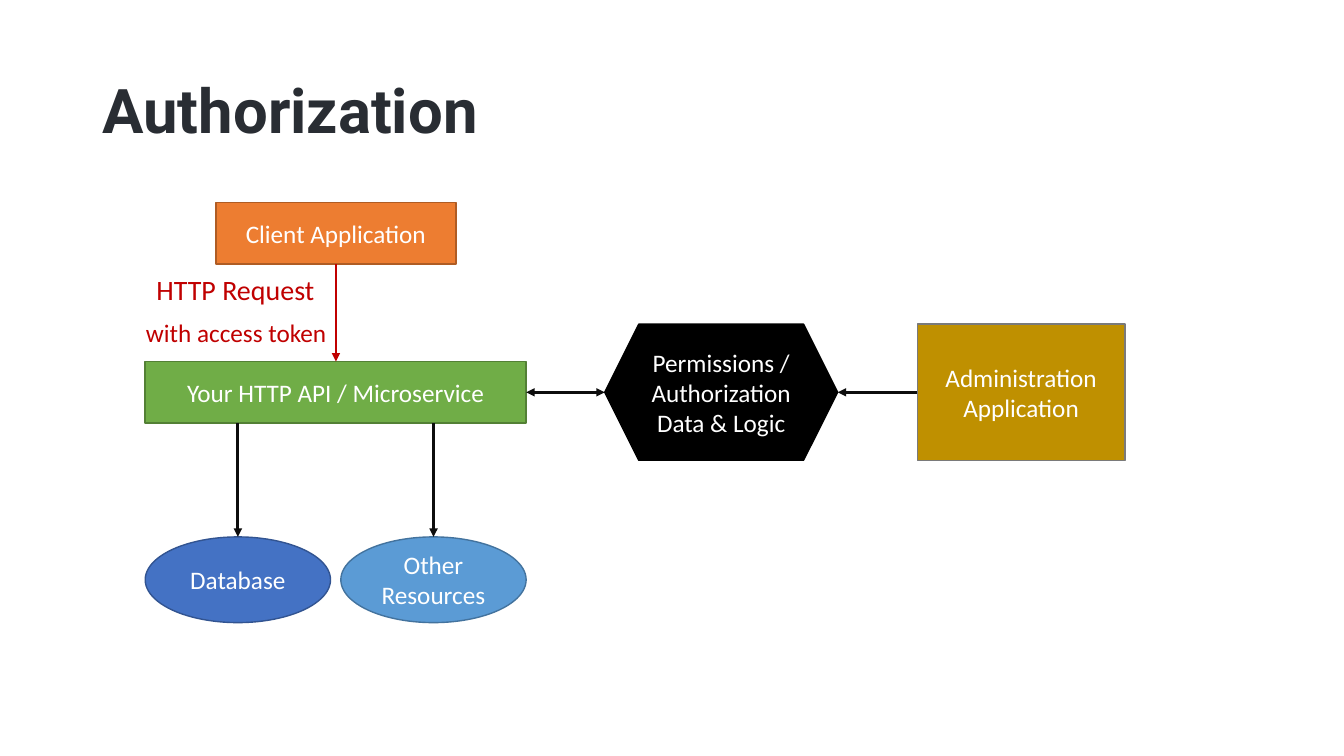
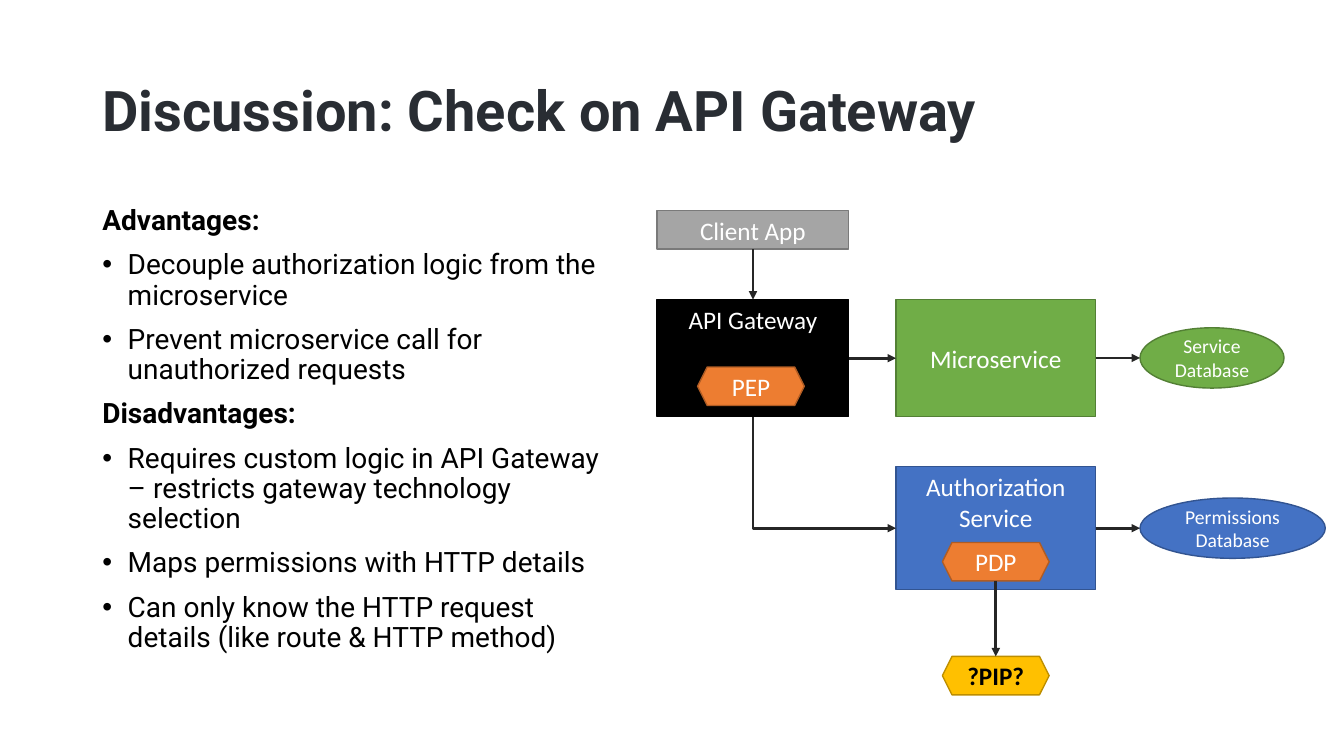
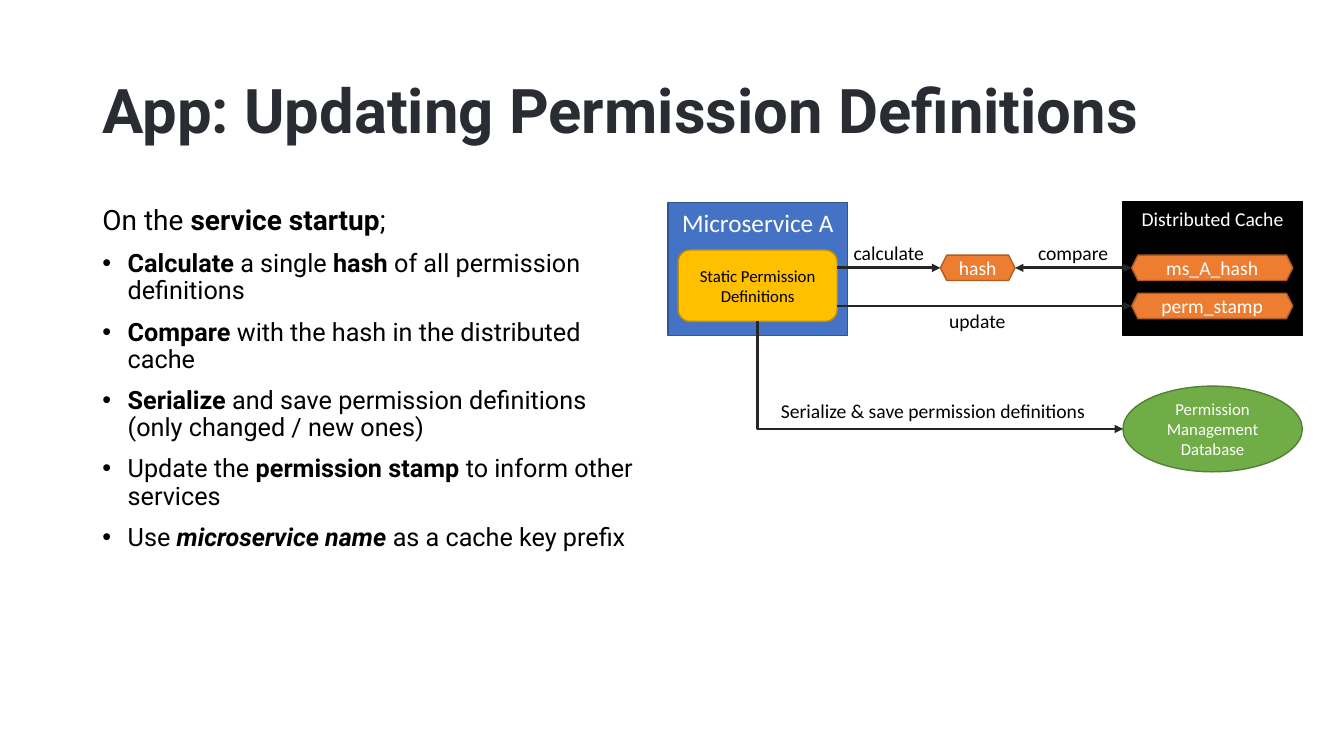
from dataclasses import dataclass

from lxml.etree import SubElement
from pptx import Presentation
from pptx.dml.color import RGBColor
from pptx.enum.shapes import MSO_CONNECTOR as Connector, MSO_SHAPE as Preset
from pptx.enum.text import MSO_ANCHOR as Anchor, PP_ALIGN as Align
from pptx.oxml.ns import qn
from pptx.util import Cm, Pt

HEADING_FONT, DIAGRAM_FONT = "Roboto", "Calibri"
BLACK, WHITE, RED, INK = "000000", "FFFFFF", "C00000", "292D33"
DARK, NEAR_BLACK = "262626", "0D0D0D"
ORANGE = ("ED7D31", "AF5C24")
GREEN = ("70AD47", "538035")
BLUE = ("4472C4", "325491")
SKY = ("5B9BD5", "43739E")
GOLD = ("BF9000", "7A7A7A")
GRAY = ("A5A5A5", "7A7A7A")
YELLOW = ("FFC000", "BD8E00")
SOLID_BLACK = (BLACK, BLACK)


@dataclass
class Box:
    left: float
    top: float
    width: float
    height: float

    def inside(self, left, top, width, height):
        return Box(self.left + left, self.top + top, width, height)

    def lengths(self):
        return [Cm(value) for value in (self.left, self.top, self.width, self.height)]


TITLE_BOX = Box(2.33, 1.01, 29.21, 3.68)


def color(hex_value):
    return RGBColor.from_string(hex_value)


def write(frame, paragraphs, size=18, font=DIAGRAM_FONT, ink=WHITE, bold=False,
          align=Align.LEFT, anchor=Anchor.TOP, wrap=True, spacing=None, before=None):
    frame.word_wrap = wrap
    frame.vertical_anchor = anchor
    for index, runs in enumerate(paragraphs):
        paragraph = frame.paragraphs[0] if index == 0 else frame.add_paragraph()
        paragraph.alignment = align
        paragraph.line_spacing = spacing
        paragraph.space_before = before
        for entry in [runs] if isinstance(runs, str) else runs:
            text, style = (entry, "") if isinstance(entry, str) else entry
            run = paragraph.add_run()
            run.text = text
            run.font.name = font
            run.font.size = Pt(size)
            run.font.bold = bold or "b" in style
            run.font.italic = "i" in style
            run.font.color.rgb = color(ink)


def add_label(slide, box, text, **text_format):
    frame = slide.shapes.add_textbox(*box.lengths()).text_frame
    write(frame, [text], **text_format)


def add_node(slide, box, text, palette, preset=Preset.RECTANGLE,
             anchor=Anchor.MIDDLE, **text_format):
    shape = slide.shapes.add_shape(preset, *box.lengths())
    shape.shadow.inherit = False
    shape.fill.solid()
    shape.fill.fore_color.rgb = color(palette[0])
    shape.line.color.rgb = color(palette[1])
    shape.line.width = Pt(1)
    write(shape.text_frame, text.split("\n"), align=Align.CENTER, anchor=anchor, **text_format)
    return shape


def center_x(shape):
    return shape.left + shape.width // 2


def center_y(shape):
    return shape.top + shape.height // 2


def right(shape):
    return shape.left + shape.width


def bottom(shape):
    return shape.top + shape.height


def style_arrow(connector, ink, width, ends):
    connector.line.color.rgb = color(ink)
    connector.line.width = Pt(width)
    line = connector.line._get_or_add_ln()
    for end in ends:
        SubElement(line, qn(f"a:{end}End"), type="triangle")
    SubElement(connector._element.spPr, qn("a:effectLst"))


def add_arrow(slide, start, end, ink=DARK, width=2, ends=("tail",)):
    connector = slide.shapes.add_connector(Connector.STRAIGHT, *start, *end)
    style_arrow(connector, ink, width, ends)


def arrow_down(slide, upper, lower, **line_format):
    x = center_x(lower)
    add_arrow(slide, (x, bottom(upper)), (x, lower.top), **line_format)


def arrow_across(slide, first, second, **line_format):
    y = center_y(second)
    add_arrow(slide, (right(first), y), (second.left, y), **line_format)


def arrow_down_then_right(slide, first, second):
    x, y = center_x(first), bottom(first)
    across, down = second.left - x, center_y(second) - y
    middle_x, middle_y = x + across // 2, y + down // 2
    connector = slide.shapes.add_connector(
        Connector.ELBOW, middle_x + down // 2, middle_y - across // 2,
        middle_x - down // 2, middle_y + across // 2)
    properties = connector._element.spPr
    properties.find(qn("a:xfrm")).set("rot", "16200000")
    properties.find(qn("a:prstGeom")).set("prst", "bentConnector2")
    style_arrow(connector, DARK, 2, ("tail",))


def add_titled_slide(presentation, title, size=44):
    slide = presentation.slides.add_slide(presentation.slide_layouts[6])
    add_label(slide, TITLE_BOX, title, size=size, font=HEADING_FONT, ink=INK,
              bold=True, anchor=Anchor.MIDDLE, spacing=0.9)
    return slide


def add_body(slide, box, sections, bullet_size):
    frame = slide.shapes.add_textbox(*box.lengths()).text_frame
    lines = [line for heading, points in sections for line in (heading, *points)]
    write(frame, lines, size=bullet_size, font=HEADING_FONT, ink=BLACK,
          spacing=0.9, before=Pt(10))
    paragraphs = iter(frame.paragraphs)
    for heading, points in sections:
        for run in next(paragraphs).runs:
            run.font.size = Pt(20)
        for point in points:
            properties = next(paragraphs)._p.get_or_add_pPr()
            properties.set("marL", str(Cm(0.64)))
            properties.set("indent", str(-Cm(0.64)))
            SubElement(properties, qn("a:buFont"), typeface="Arial")
            SubElement(properties, qn("a:buChar"), char="•")


def draw_authorization(slide, box):
    client = add_node(slide, box.inside(1.78, 0, 6.05, 1.55), "Client Application", ORANGE)
    api = add_node(slide, box.inside(0, 4.01, 9.6, 1.55), "Your HTTP API / Microservice", GREEN)
    logic = add_node(slide, box.inside(11.58, 3.07, 5.87, 3.43),
                     "Permissions / Authorization Data & Logic", SOLID_BLACK, Preset.HEXAGON)
    admin = add_node(slide, box.inside(19.46, 3.07, 5.23, 3.43),
                     "Administration Application", GOLD)
    add_label(slide, box.inside(0.03, 1.65, 4.55, 1.12), "HTTP Request",
              size=20, ink=RED, wrap=False)
    add_label(slide, box.inside(-0.23, 2.77, 5.11, 1.02), "with access token",
              ink=RED, wrap=False)
    x = center_x(client)
    add_arrow(slide, (x, bottom(client)), (x, api.top), ink=RED, width=1.5)
    for left, text, palette in ((0, "Database", BLUE), (4.93, "Other Resources", SKY)):
        store = add_node(slide, box.inside(left, 8.43, 4.67, 2.16), text, palette, Preset.OVAL)
        arrow_down(slide, api, store, ink=NEAR_BLACK)
    arrow_across(slide, api, logic, ink=NEAR_BLACK, ends=("head", "tail"))
    arrow_across(slide, logic, admin, ink=NEAR_BLACK, ends=("head",))


def draw_gateway(slide, box):
    client = add_node(slide, box.inside(0, 0, 4.83, 0.97), "Client App", GRAY)
    gateway = add_node(slide, box.inside(0, 2.24, 4.83, 2.95), "API Gateway",
                       SOLID_BLACK, anchor=Anchor.TOP)
    microservice = add_node(slide, box.inside(6.02, 2.24, 5.03, 2.95), "Microservice", GREEN)
    authorization = add_node(slide, box.inside(6.02, 6.45, 5.03, 3.1),
                             "Authorization Service", BLUE, anchor=Anchor.TOP)
    service_store = add_node(slide, box.inside(12.17, 2.95, 3.63, 1.52),
                             "Service\nDatabase", GREEN, Preset.OVAL, size=14)
    permission_store = add_node(slide, box.inside(12.17, 7.24, 4.67, 1.52),
                                "Permissions\nDatabase", BLUE, Preset.OVAL, size=14)

    def add_point(left, top, text, palette, **text_format):
        return add_node(slide, box.inside(left, top, 2.69, 0.97), text, palette,
                        Preset.HEXAGON, **text_format)

    add_point(1.02, 3.94, "PEP", ORANGE)
    decision = add_point(7.19, 8.36, "PDP", ORANGE)
    information = add_point(7.19, 11.23, "?PIP?", YELLOW, ink=BLACK, bold=True)
    arrow_down(slide, client, gateway)
    arrow_down(slide, decision, information)
    for first, second in ((gateway, microservice), (microservice, service_store),
                          (authorization, permission_store)):
        arrow_across(slide, first, second)
    arrow_down_then_right(slide, gateway, authorization)


def draw_permission_update(slide, box):
    add_node(slide, box.inside(0, 0.03, 4.52, 3.35), "Microservice A", BLUE, anchor=Anchor.TOP)
    definitions = add_node(slide, box.inside(0.25, 1.22, 4.01, 1.8),
                           "Static Permission Definitions", YELLOW,
                           Preset.ROUNDED_RECTANGLE, size=12, ink=BLACK)
    add_node(slide, box.inside(11.46, 0, 4.52, 3.38), "Distributed Cache",
             SOLID_BLACK, anchor=Anchor.TOP, size=14)
    store = add_node(slide, box.inside(11.46, 4.65, 4.52, 2.16),
                     "Permission\nManagement\nDatabase", GREEN, Preset.OVAL, size=12)
    local_hash, cached_hash, stamp = [
        add_node(slide, box.inside(left, top, width, 0.64), text, ORANGE,
                 Preset.HEXAGON, size=14)
        for left, top, width, text in ((6.86, 1.35, 1.88, "hash"),
                                       (11.68, 1.35, 4.06, "ms_A_hash"),
                                       (11.68, 2.31, 4.06, "perm_stamp"))]
    arrow_across(slide, definitions, local_hash)
    arrow_across(slide, local_hash, cached_hash, ends=("head", "tail"))
    arrow_across(slide, definitions, stamp)
    arrow_down_then_right(slide, definitions, store)
    for left, top, width, text, wrap in (
            (4.42, 0.86, 2.31, "calculate", False),
            (9.07, 0.86, 2.29, "compare", False),
            (6.83, 2.57, 2.31, "update", True),
            (2.59, 4.85, 8.38, "Serialize & save permission definitions", True)):
        add_label(slide, box.inside(left, top, width, 0.86), text, size=14, ink=BLACK, wrap=wrap)


def main():
    presentation = Presentation()
    presentation.slide_width, presentation.slide_height = Cm(33.87), Cm(19.05)

    slide = add_titled_slide(presentation, "Authorization")
    draw_authorization(slide, Box(3.66, 5.1, 24.69, 10.59))

    slide = add_titled_slide(presentation, "Discussion: Check on API Gateway", size=40)
    add_body(slide, Box(2.33, 5.08, 13.11, 12.09), [
        ([("Advantages:", "b")], [
            "Decouple authorization logic from the microservice",
            "Prevent microservice call for unauthorized requests"]),
        ([("Disadvantages:", "b")], [
            "Requires custom logic in API Gateway – restricts gateway technology selection",
            "Maps permissions with HTTP details",
            "Can only know the HTTP request details (like route & HTTP method)"]),
    ], bullet_size=20)
    draw_gateway(slide, Box(16.56, 5.31, 16.84, 12.2))

    slide = add_titled_slide(presentation, "App: Updating Permission Definitions")
    add_body(slide, Box(2.33, 5.08, 14.17, 12.09), [
        (["On the ", ("service startup", "b"), ";"], [
            [("Calculate ", "b"), "a single ", ("hash ", "b"), "of all permission definitions"],
            [("Compare ", "b"), "with the hash in the distributed cache"],
            [("Serialize ", "b"), "and save permission definitions (only changed / new ones)"],
            ["Update the ", ("permission stamp ", "b"), "to inform other services"],
            ["Use ", ("microservice name ", "bi"), "as a cache key prefix"]]),
    ], bullet_size=18)
    draw_permission_update(slide, Box(16.84, 5.08, 15.98, 6.81))

    presentation.save("out.pptx")


if __name__ == "__main__":
    main()
